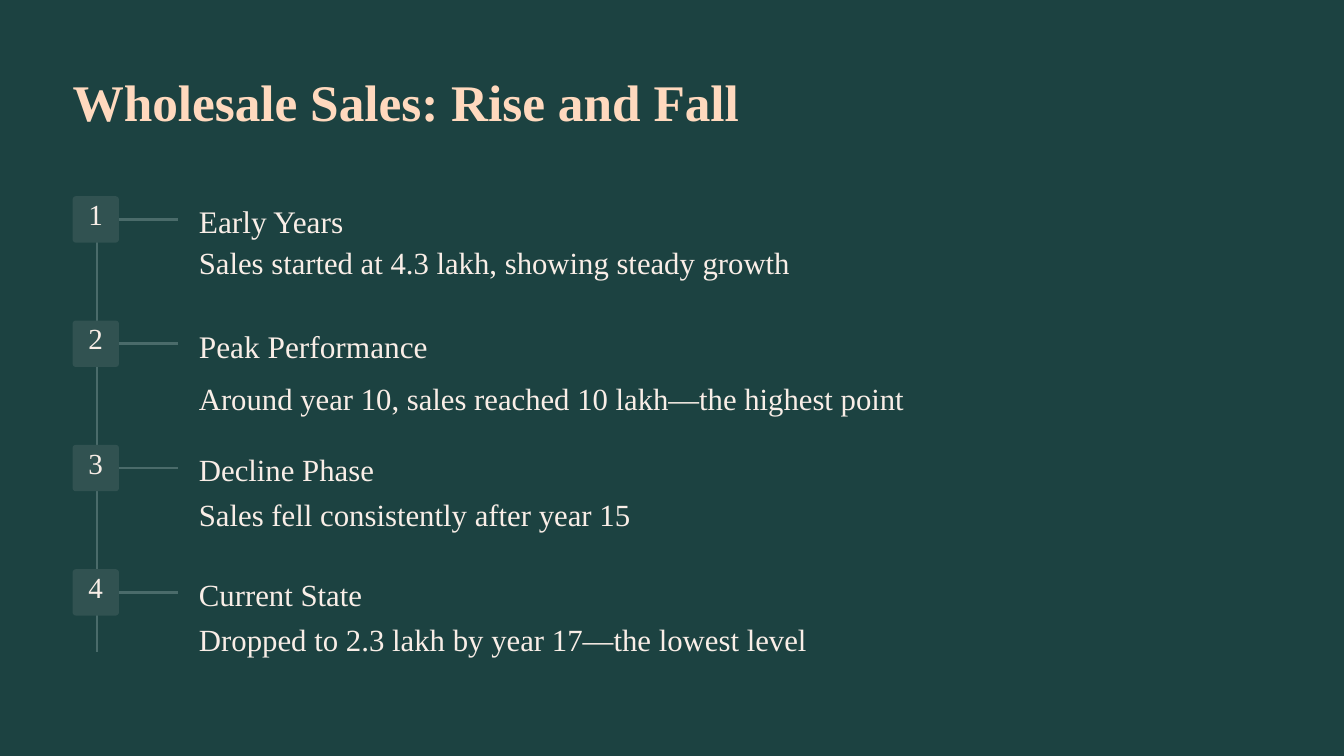
from pptx import Presentation
from pptx.dml.color import RGBColor
from pptx.enum.shapes import MSO_CONNECTOR, MSO_SHAPE
from pptx.enum.text import PP_ALIGN
from pptx.oxml.ns import qn
from pptx.util import Inches, Pt
from lxml import etree

STRAIGHT = MSO_CONNECTOR.STRAIGHT
ROUNDED = MSO_SHAPE.ROUNDED_RECTANGLE
LEFT, CENTER = PP_ALIGN.LEFT, PP_ALIGN.CENTER

GREEN = RGBColor(0x1C, 0x42, 0x41)
PEACH = RGBColor(0xFF, 0xD9, 0xBE)
CREAM = RGBColor(0xF9, 0xEE, 0xE7)
RULE = RGBColor(0x4A, 0x6B, 0x6A)
BADGE = RGBColor(0x31, 0x52, 0x51)
FONT = "Times New Roman"

MARGIN = 1.08
BADGE_SIZE = 0.69
STEP_PITCH = 1.85
RIGHT_SIDE = 3

# heading, (size, line pitch), detail, (size, line pitch), detail offset
STEPS = [
    ("Early Years", (33.6, 42.6),
     "Sales started at 4.3 lakh, showing steady growth", (32.9, 52.6), 0.53),
    ("Peak Performance", (33.6, 42.6),
     "Around year 10, sales reached 10 lakh—the highest point", (32.9, 52.6), 0.7),
    ("Decline Phase", (33, 41.9),
     "Sales fell consistently after year 15", (33, 52.8), 0.58),
    ("Current State", (33, 41.9),
     "Dropped to 2.3 lakh by year 17—the lowest level", (33, 52.8), 0.58),
]


def add_text(page, left, top, width, height, text, size, pitch,
             color=CREAM, bold=False, align=LEFT):
    box = page.shapes.add_textbox(Inches(left), Inches(top), Inches(width), Inches(height))
    frame = box.text_frame
    frame.word_wrap = True
    frame.margin_left = frame.margin_right = frame.margin_top = frame.margin_bottom = 0
    para = frame.paragraphs[0]
    para.text = text
    para.alignment = align
    para.line_spacing = Pt(pitch)
    para.font.name = FONT
    para.font.size = Pt(size)
    para.font.bold = bold
    para.font.color.rgb = color


def add_line(page, x1, y1, x2, y2):
    line = page.shapes.add_connector(STRAIGHT, Inches(x1), Inches(y1), Inches(x2), Inches(y2))
    line.line.color.rgb = RULE
    line.line.width = Pt(3)
    etree.SubElement(line._element.spPr, qn("a:effectLst"))
    return line


def add_step(page, left, top, number, step):
    heading, heading_type, detail, detail_type, detail_offset = step

    # Numbered badge
    badge = page.shapes.add_shape(ROUNDED, Inches(left), Inches(top),
                                  Inches(BADGE_SIZE), Inches(BADGE_SIZE))
    badge.adjustments[0] = 0.07
    badge.shadow.inherit = False
    badge.fill.solid()
    badge.fill.fore_color.rgb = BADGE
    badge.line.fill.background()
    add_text(page, left + 0.13, top + 0.09, 0.43, 0.49, str(number), 31.2, 31.2, align=CENTER)

    # Branch from the badge to the wording
    middle = top + BADGE_SIZE / 2
    branch = add_line(page, left + BADGE_SIZE, middle, left + 1.57, middle)
    branch.begin_connect(badge, RIGHT_SIDE)

    # Heading and detail
    text_left = left + 1.88
    add_text(page, text_left, top + 0.06, 5.65, 0.6, heading, *heading_type)
    add_text(page, text_left, top + detail_offset, 12.1, 0.7, detail, *detail_type)


def add_timeline(page, left, top, height):
    spine = left + 0.365
    add_line(page, spine, top, spine, top + height)
    for index, step in enumerate(STEPS):
        add_step(page, left, top + index * STEP_PITCH, index + 1, step)


def main():
    deck = Presentation()
    deck.slide_width, deck.slide_height = Inches(20), Inches(11.25)
    page = deck.slides.add_slide(deck.slide_layouts[6])
    page.background.fill.solid()
    page.background.fill.fore_color.rgb = GREEN

    add_text(page, MARGIN, 1, 11.37, 0.98, "Wholesale Sales: Rise and Fall",
             55, 68.9, PEACH, bold=True)
    add_timeline(page, MARGIN, 2.92, 6.78)
    deck.save("out.pptx")


if __name__ == "__main__":
    main()
